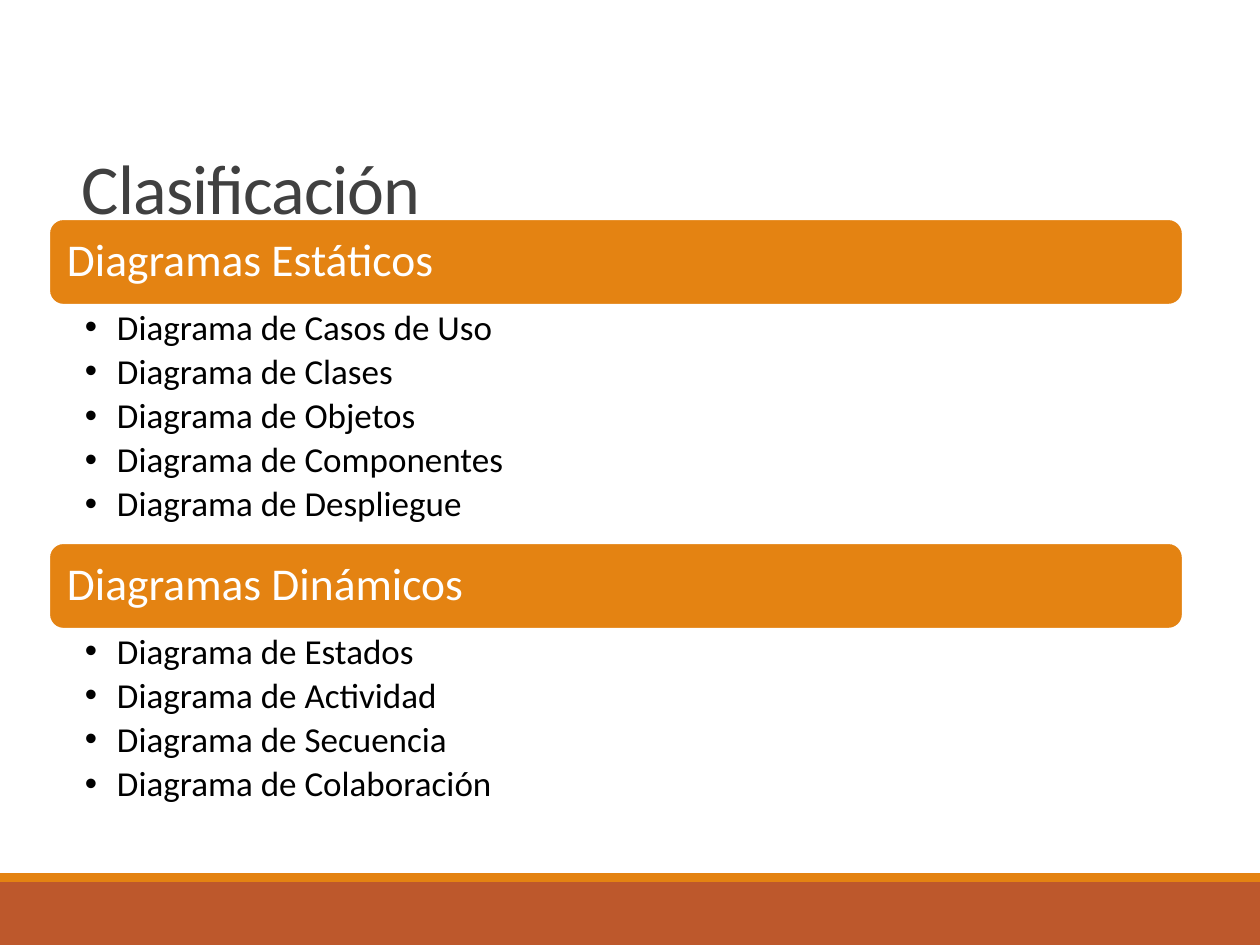
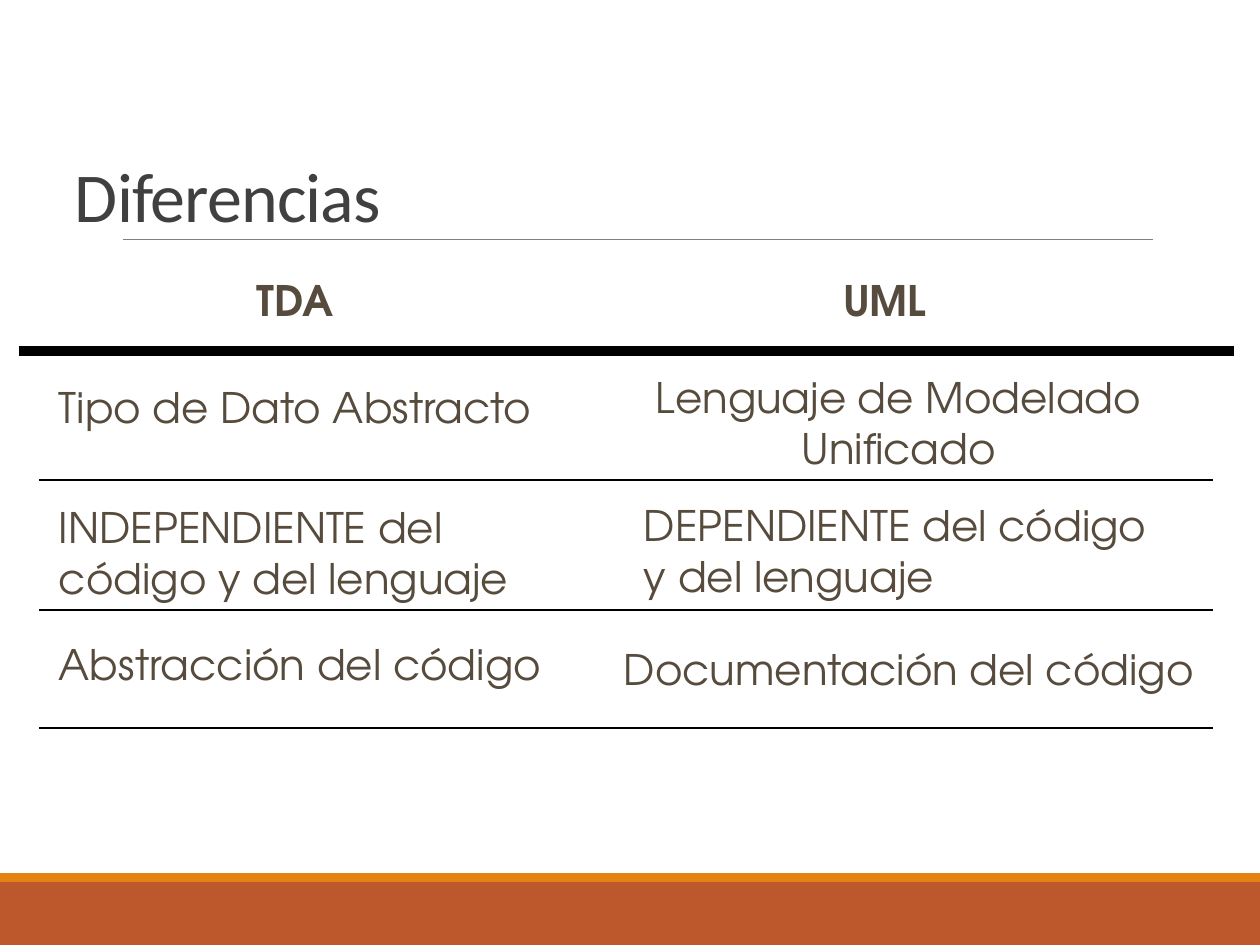
from lxml.etree import SubElement
from pptx import Presentation
from pptx.dml.color import RGBColor
from pptx.enum.shapes import MSO_CONNECTOR, MSO_SHAPE
from pptx.enum.text import MSO_ANCHOR, PP_ALIGN
from pptx.oxml.ns import qn
from pptx.util import Pt

PX = 914400 / 126
SLIDE_W, SLIDE_H = 1260, 945

WHITE = RGBColor(0xFF, 0xFF, 0xFF)
BLACK = RGBColor(0x00, 0x00, 0x00)
ORANGE = RGBColor(0xE4, 0x83, 0x12)
RUST = RGBColor(0xBD, 0x58, 0x2C)
GRAY = RGBColor(0x80, 0x80, 0x80)
TITLE_GRAY = RGBColor(0x40, 0x40, 0x40)
BROWN = RGBColor(0x56, 0x4B, 0x3C)

HEADING_FONT = "Calibri"
TABLE_FONT = "TeX Gyre Adventor"

SECTIONS = [
    ("Diagramas Estáticos", [
        "Diagrama de Casos de Uso", "Diagrama de Clases", "Diagrama de Objetos",
        "Diagrama de Componentes", "Diagrama de Despliegue"]),
    ("Diagramas Dinámicos", [
        "Diagrama de Estados", "Diagrama de Actividad", "Diagrama de Secuencia",
        "Diagrama de Colaboración"]),
]

# Text, left, top, width and alignment of each cell, relative to the comparison
HEADERS = [("TDA", 238, 35, 467), ("UML", 824, 35, 333)]
CELLS = [
    ("Tipo de Dato Abstracto", 40, 142, 519, PP_ALIGN.LEFT),
    ("Lenguaje de Modelado Unificado", 620, 132, 519, PP_ALIGN.CENTER),
    ("INDEPENDIENTE del código y del lenguaje", 40, 262, 519, PP_ALIGN.LEFT),
    ("DEPENDIENTE del código y del lenguaje", 625, 260, 519, PP_ALIGN.LEFT),
    ("Abstracción del código", 40, 399, 519, PP_ALIGN.LEFT),
    ("Documentación del código", 605, 404, 592, PP_ALIGN.LEFT),
]
ROW_RULES = [240, 370, 488]


def emu(px):
    return round(px * PX)


def add_box(slide, shape_type, x, y, w, h, fill):
    sp = slide.shapes.add_shape(shape_type, emu(x), emu(y), emu(w), emu(h))
    sp.shadow.inherit = False
    sp.fill.solid()
    sp.fill.fore_color.rgb = fill
    sp.line.fill.background()
    return sp


def add_rule(slide, x, y, w, color, weight):
    line = slide.shapes.add_connector(
        MSO_CONNECTOR.STRAIGHT, emu(x), emu(y), emu(x + w), emu(y))
    line.line.color.rgb = color
    line.line.width = Pt(weight)
    SubElement(line._element.spPr, qn("a:effectLst"))


def add_text(slide, x, y, w, h, lines, font, size, color, insets=(0, 0, 0, 0),
             anchor=MSO_ANCHOR.TOP, align=PP_ALIGN.LEFT, spacing=1.0, bold=False):
    """Add a text box with one paragraph per line; insets are left, top, right, bottom."""
    sp = slide.shapes.add_textbox(emu(x), emu(y), emu(w), emu(h))
    tf = sp.text_frame
    tf.word_wrap = True
    tf.vertical_anchor = anchor
    tf.margin_left, tf.margin_top, tf.margin_right, tf.margin_bottom = map(emu, insets)
    tf.text = "\n".join(lines)
    for p in tf.paragraphs:
        p.alignment = align
        p.line_spacing = spacing
        for r in p.runs:
            r.font.name = font
            r.font.size = Pt(size)
            r.font.bold = bold
            r.font.color.rgb = color
    return tf


def add_bullet(p, indent):
    pPr = p._p.get_or_add_pPr()
    pPr.set("marL", str(emu(indent)))
    pPr.set("indent", str(-emu(indent)))
    SubElement(pPr, qn("a:buFont")).set("typeface", "Arial")
    SubElement(pPr, qn("a:buChar")).set("char", "•")


def add_footer(slide):
    add_box(slide, MSO_SHAPE.RECTANGLE, 0, 882, SLIDE_W, SLIDE_H - 882, RUST)
    add_box(slide, MSO_SHAPE.RECTANGLE, 0, 873, SLIDE_W, 9, ORANGE)


def add_title(slide, x, y, title):
    tf = add_text(slide, x, y, 1134, 147, [title], HEADING_FONT, 40, TITLE_GRAY,
                  insets=(13, 6, 13, 6), anchor=MSO_ANCHOR.BOTTOM, spacing=0.85)
    tf.paragraphs[0].runs[0].font._element.set("spc", "-50")


def add_section(slide, x, y, w, heading, items):
    """Add a rounded heading bar with its bulleted list below."""
    bar_h = 86
    bar = add_box(slide, MSO_SHAPE.ROUNDED_RECTANGLE, x, y, w, bar_h, ORANGE)
    bar.line.color.rgb = WHITE
    bar.line.width = Pt(1.25)
    add_text(slide, x + 4, y + 4, w - 8, bar_h - 8, [heading], HEADING_FONT, 26, WHITE,
             insets=(14, 14, 14, 14), anchor=MSO_ANCHOR.MIDDLE, spacing=0.9)
    tf = add_text(slide, x, y + bar_h, w, 47 * len(items), items, HEADING_FONT, 20, BLACK,
                  insets=(36, 5, 25, 5), spacing=0.9)
    for p in tf.paragraphs:
        p.space_after = Pt(3.6)
        add_bullet(p, 32)


def add_comparison(slide, x, y, w):
    """Add the two headed columns of text with the rules between rows."""
    add_rule(slide, x, y + 111, w, BLACK, 5.67)
    for text, dx, dy, cell_w in HEADERS:
        add_text(slide, x + dx, y + dy, cell_w, 49, [text], TABLE_FONT, 24, BROWN, bold=True)
    for dy in ROW_RULES:
        add_rule(slide, x + 20, y + dy, w - 41, BLACK, 0.75)
    for text, dx, dy, cell_w, align in CELLS:
        add_text(slide, x + dx, y + dy, cell_w, 98, [text], TABLE_FONT, 24, BROWN, align=align)


def new_slide(prs):
    slide = prs.slides.add_slide(prs.slide_layouts[6])
    add_footer(slide)
    return slide


def build_classification(prs):
    slide = new_slide(prs)
    add_title(slide, 69, 88, "Clasificación")
    for i, (heading, items) in enumerate(SECTIONS):
        add_section(slide, 49, 219 + 324 * i, 1134, heading, items)


def build_differences(prs):
    slide = new_slide(prs)
    add_rule(slide, 123, 239, 1030, GRAY, 0.5)
    add_comparison(slide, 19, 240, 1215)
    add_title(slide, 62, 96, "Diferencias")


def main():
    prs = Presentation()
    prs.slide_width, prs.slide_height = emu(SLIDE_W), emu(SLIDE_H)
    build_classification(prs)
    build_differences(prs)
    prs.save("out.pptx")


if __name__ == "__main__":
    main()
